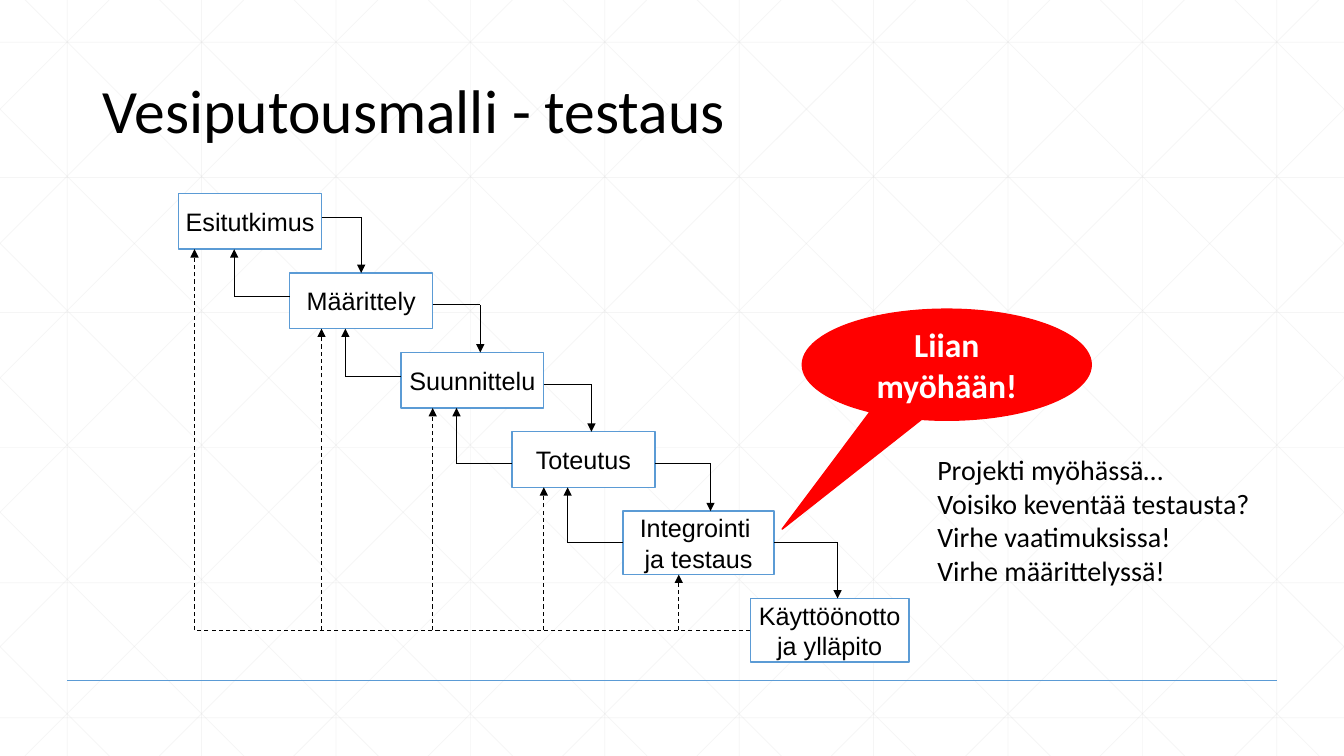
from dataclasses import dataclass
from typing import Any, NamedTuple, Optional

import lxml.etree
import pptx
import pptx.dml.color
import pptx.enum.dml
import pptx.enum.shapes
import pptx.enum.text
import pptx.oxml.ns
import pptx.util

SHAPE = pptx.enum.shapes.MSO_SHAPE
ALIGN = pptx.enum.text.PP_ALIGN
ANCHOR = pptx.enum.text.MSO_ANCHOR
AUTO = pptx.enum.text.MSO_AUTO_SIZE
qn = pptx.oxml.ns.qn


@dataclass(frozen=True)
class Theme:
    ink: str = "000000"
    paper: str = "FFFFFF"
    accent: str = "5B9BD5"
    alarm: str = "FF0000"
    mesh: str = "D9D9D9"
    heading: str = "Calibri"
    label: str = "Arial"
    title_size: int = 44
    callout_size: int = 24
    note_size: int = 20
    label_size: int = 18
    thin: float = 0.5
    arrow: float = 0.75
    edge: float = 1


class Stage(NamedTuple):
    """Box in grid cells; the offsets count from the box's own corner."""
    label: list[str]
    col: int
    row: int
    cols: int = 18
    rows: int = 7
    out_row: int = 4                  # forward arrow leaves the right side
    in_col: int = 10                  # forward arrow lands on the top
    back_row: Optional[int] = None    # feedback arrow leaves the left side
    retest_col: Optional[int] = None  # dashed arrow meets the bottom


T = Theme()
STAGES = [
    Stage(["Esitutkimus"], 0, 0, out_row=3, retest_col=2),
    Stage(["Määrittely"], 14, 10, in_col=9, back_row=3, retest_col=4),
    Stage(["Suunnittelu"], 28, 20, back_row=3, retest_col=4),
    Stage(["Toteutus"], 42, 30, back_row=4, retest_col=4),
    Stage(["Integrointi ", "ja testaus"], 56, 40, 19, 8, in_col=11, back_row=4, retest_col=7),
    Stage(["Käyttöönotto", "ja ylläpito"], 72, 51, 20, 8, in_col=11),
]
BACK_REACH = 7  # cells a feedback arrow runs left before it turns up

prs = pptx.Presentation()
prs.slide_width, prs.slide_height = pptx.util.Inches(13.33), pptx.util.Inches(7.5)
W, H = prs.slide_width, prs.slide_height
CELL = pptx.util.Mm(2)
LEFT, TOP = pptx.util.Mm(45), pptx.util.Mm(48.8)
s = prs.slides.add_slide(prs.slide_layouts[5])


def rgb(value: str) -> pptx.dml.color.RGBColor:
    return pptx.dml.color.RGBColor.from_string(value)


def put(obj: Any, values: dict[str, Any]) -> None:
    for name, value in values.items():
        setattr(obj, name, value)


def share(x: float, y: float) -> tuple[int, int]:
    """Percent of the slide's width and height."""
    return round(W * x / 100), round(H * y / 100)


def cell(col: float, row: float) -> tuple[int, int]:
    return LEFT + round(col * CELL), TOP + round(row * CELL)


def write(sp: Any, lines: list[str], size: int, font: str, color: str,
          frame: dict[str, Any], para: dict[str, Any], bold: bool = False) -> None:
    tf = sp.text_frame
    put(tf, frame)
    for i, line in enumerate(lines):
        p = tf.add_paragraph() if i else tf.paragraphs[0]
        p.text = line
        put(p, para)
        for r in p.runs:
            put(r.font, {"size": pptx.util.Pt(size), "name": font, "bold": bold})
            r.font.color.rgb = rgb(color)


def shape(kind: Any, at: tuple[int, int], size: tuple[int, int], fill: str, line: str) -> Any:
    sp = s.shapes.add_shape(kind, *at, *size)
    sp.shadow.inherit = False
    sp.fill.solid()
    sp.fill.fore_color.rgb = rgb(fill)
    sp.line.color.rgb = rgb(line)
    sp.line.width = pptx.util.Pt(T.edge)
    return sp


def line(start: tuple[int, int], end: tuple[int, int], color: str, width: float,
         arrow: bool = False, dashed: bool = False, alpha: Optional[int] = None) -> None:
    c = s.shapes.add_connector(pptx.enum.shapes.MSO_CONNECTOR.STRAIGHT, *start, *end)
    c.line.color.rgb = rgb(color)
    c.line.width = pptx.util.Pt(width)
    if dashed:
        c.line.dash_style = pptx.enum.dml.MSO_LINE.DASH
    ln = c.line._get_or_add_ln()
    if alpha:
        tint = ln.find(".//" + qn("a:srgbClr"))
        lxml.etree.SubElement(tint, qn("a:alpha"), val=str(alpha * 1000))
    if arrow:
        lxml.etree.SubElement(ln, qn("a:tailEnd"), type="triangle")
    lxml.etree.SubElement(ln.getparent(), qn("a:effectLst"))


def mesh(start: tuple[int, int], end: tuple[int, int]) -> None:
    line(start, end, T.mesh, T.thin, alpha=25)


def elbow(start: tuple[int, int], turn: tuple[int, int], end: tuple[int, int],
          dashed: bool = False) -> None:
    line(cell(*start), cell(*turn), T.ink, T.arrow, dashed=dashed)
    line(cell(*turn), cell(*end), T.ink, T.arrow, arrow=True, dashed=dashed)


# Background mesh: columns, rows, then mirrored diagonals clipped to the slide
for i in range(10):
    mesh(share(5 + 10 * i, 0), share(5 + 10 * i, 100))
for i in range(6):
    y = 5.6 + 17.87 * i
    mesh(share(0, y), share(100, y))
for i in range(-5, 10):
    x = round(W * (1.88 + 10 * i) / 100)
    x0, x1 = max(x, 0), min(x + H, W)
    for flip in (False, True):
        a, b = (W - x0, W - x1) if flip else (x0, x1)
        mesh((a, x0 - x), (b, x1 - x))
line(share(5, 90), share(95, 90), T.accent, T.edge)

# Title, brought in front of the mesh
title = s.shapes.title
s.shapes.element.append(title.element)
title.left, title.top = share(6.9, 5.33)
title.width, title.height = share(86.25, 19.33)
write(title, ["Vesiputousmalli - testaus"], T.title_size, T.heading, T.ink,
      {"vertical_anchor": ANCHOR.MIDDLE, "word_wrap": True, "auto_size": AUTO.NONE},
      {"alignment": ALIGN.LEFT, "line_spacing": 0.9})

# Stage boxes
for st in STAGES:
    sp = shape(SHAPE.RECTANGLE, cell(st.col, st.row), (st.cols * CELL, st.rows * CELL),
               T.paper, T.accent)
    write(sp, st.label, T.label_size, T.label, T.ink,
          {"vertical_anchor": ANCHOR.MIDDLE, "word_wrap": False}, {"alignment": ALIGN.CENTER})

# Forward and feedback arrows between neighbouring stages
for st, nxt in zip(STAGES, STAGES[1:]):
    y, x = st.row + st.out_row, nxt.col + nxt.in_col
    elbow((st.col + st.cols, y), (x, y), (x, nxt.row))
    if nxt.back_row is not None:
        y, x = nxt.row + nxt.back_row, nxt.col - BACK_REACH
        elbow((nxt.col, y), (x, y), (x, st.row + st.rows))

# Dashed returns from the last stage to every earlier one
first, *middle, last = STAGES
bus = last.row + 4
elbow((last.col, bus), (first.retest_col, bus), (first.retest_col, first.rows), dashed=True)
for st in middle:
    x = st.col + st.retest_col
    line(cell(x, bus), cell(x, st.row + st.rows), T.ink, T.arrow, arrow=True, dashed=True)

# Callout
sp = shape(SHAPE.OVAL_CALLOUT, share(59.7, 40.9), share(21.5, 14.7), T.alarm, T.alarm)
sp.adjustments[0], sp.adjustments[1] = -0.57, 1.48
write(sp, ["Liian myöhään!"], T.callout_size, T.heading, T.paper,
      {"vertical_anchor": ANCHOR.MIDDLE, "word_wrap": True}, {"alignment": ALIGN.CENTER}, bold=True)

# Side remarks
sp = s.shapes.add_textbox(*share(69, 59.2), *share(26.1, 19.33))
write(sp, ["Projekti myöhässä…", "Voisiko keventää testausta?",
           "Virhe vaatimuksissa!\vVirhe määrittelyssä!"],
      T.note_size, T.heading, T.ink,
      {"word_wrap": True, "auto_size": AUTO.SHAPE_TO_FIT_TEXT}, {"alignment": ALIGN.LEFT})

prs.save("out.pptx")
